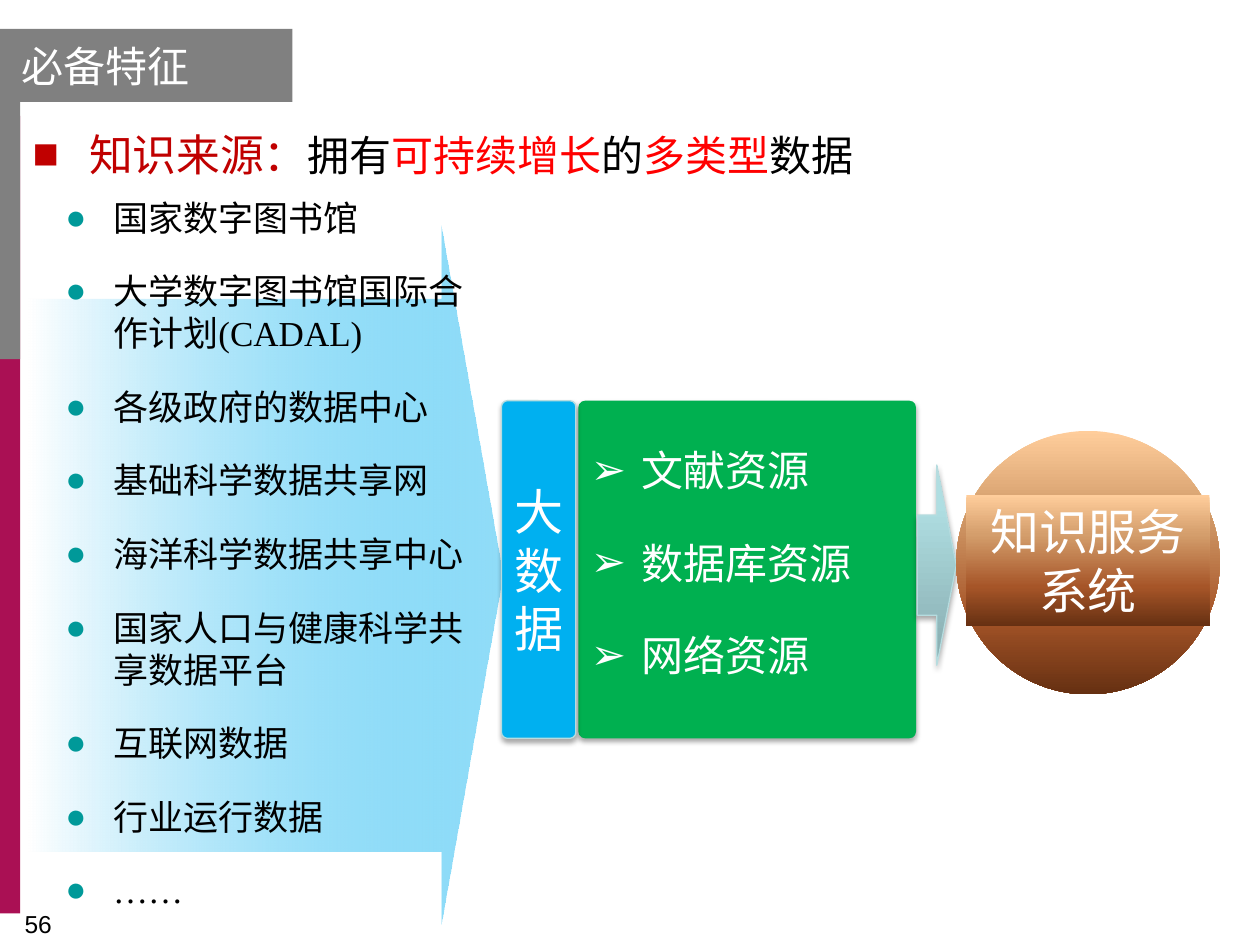
from lxml import etree
from pptx import Presentation
from pptx.dml.color import RGBColor
from pptx.enum.shapes import MSO_SHAPE
from pptx.enum.text import MSO_ANCHOR, MSO_AUTO_SIZE, PP_ALIGN
from pptx.oxml.ns import qn
from pptx.util import Inches, Pt

RECT, ROUNDED = MSO_SHAPE.RECTANGLE, MSO_SHAPE.ROUNDED_RECTANGLE
ARROW, OVAL = MSO_SHAPE.RIGHT_ARROW, MSO_SHAPE.OVAL
LEFT, CENTER, RIGHT = PP_ALIGN.LEFT, PP_ALIGN.CENTER, PP_ALIGN.RIGHT
TOP, MIDDLE, BOTTOM = MSO_ANCHOR.TOP, MSO_ANCHOR.MIDDLE, MSO_ANCHOR.BOTTOM

CJK, SANS, SERIF = "Noto Sans CJK SC", "Arial", "Times New Roman"
COLORS = {
    "white": "FFFFFF", "black": "000000", "grey": "808080", "crimson": "AA1054",
    "green": "00B050", "blue": "00B0F0", "pale": "B6DCDF", "teal": "009999",
    "dark red": "C00000", "red": "FF0000",
}
# Gradient stops: position, colour, opacity (all in percent)
SKY = [(0, "FFFFFF", 100), (100, "00B0F0", 43)]
MIST = [(0, "87ABAE", 100), (80, "AFDEE2", 100), (100, "AFE0E4", 100)]
COPPER = [(0, "FFCD9B", 100), (30, "D49E6C", 100),
          (70, "A65528", 100), (100, "663012", 100)]

SOURCES = ["国家数字图书馆", "大学数字图书馆国际合作计划(CADAL)", "各级政府的数据中心",
           "基础科学数据共享网", "海洋科学数据共享中心", "国家人口与健康科学共享数据平台",
           "互联网数据", "行业运行数据", "……"]
RESOURCES = ["文献资源", "数据库资源", "网络资源"]
HEADING = [("知识来源：", 25, "dark red"), ("拥有", 24, "black"),
           ("可持续增长", 24, "red"), ("的", 24, "black"),
           ("多类型", 24, "red"), ("数据", 24, "black")]


def rgb(name):
    return RGBColor.from_string(COLORS[name])


def add_color(parent, value, opacity):
    color = etree.SubElement(parent, qn("a:srgbClr"), val=value)
    if opacity < 100:
        etree.SubElement(color, qn("a:alpha"), val=str(opacity * 1000))


def add_block(shapes, kind, place, fill=None, line=None, adjust=(), shadow=False):
    block = shapes.add_shape(kind, *map(Inches, place))
    for index, value in enumerate(adjust):
        block.adjustments[index] = value
    if fill:
        block.fill.solid()
        block.fill.fore_color.rgb = rgb(fill)
    if line:
        block.line.color.rgb = rgb(line)
        block.line.width = Pt(0.75)
    else:
        block.line.fill.background()
    block.shadow.inherit = False
    if shadow:
        effects = block.element.spPr.find(qn("a:effectLst"))
        outer = etree.SubElement(effects, qn("a:outerShdw"), blurRad=str(Pt(3.1)),
                                 dist=str(Pt(1.8)), dir="5400000", rotWithShape="0")
        add_color(outer, COLORS["black"], 35)
    return block


def set_gradient(block, stops, clockwise):
    block.fill.gradient()
    block.fill.gradient_angle = (360 - clockwise) % 360
    stop_list = block.element.spPr.find(qn("a:gradFill")).find(qn("a:gsLst"))
    for old in list(stop_list):
        stop_list.remove(old)
    for position, value, opacity in stops:
        stop = etree.SubElement(stop_list, qn("a:gs"), pos=str(position * 1000))
        add_color(stop, value, opacity)


def set_frame(shape, anchor=TOP, wrap=True, side=0.1):
    frame = shape.text_frame
    frame.word_wrap = wrap
    frame.auto_size = MSO_AUTO_SIZE.NONE
    frame.vertical_anchor = anchor
    frame.margin_left = frame.margin_right = Inches(side)
    return frame


def add_span(para, text, size, color, font=CJK):
    span = para.add_run()
    span.text = text
    span.font.size = Pt(size)
    span.font.name = font
    span.font.color.rgb = rgb(color)
    etree.SubElement(span.font._element, qn("a:ea"), typeface=CJK)


def add_label(shape, text, size, color="white", align=CENTER, font=CJK, **frame_options):
    para = set_frame(shape, **frame_options).paragraphs[0]
    para.alignment = align
    add_span(para, text, size, color, font)


def set_bullet(para, mark, color, indent):
    props = para._p.get_or_add_pPr()
    props.set("marL", str(Inches(indent)))
    props.set("indent", str(-Inches(indent)))
    add_color(etree.SubElement(props, qn("a:buClr")), COLORS[color], 100)
    etree.SubElement(props, qn("a:buFont"), typeface=SANS)
    etree.SubElement(props, qn("a:buChar"), char=mark)


def add_list(slide, place, items, mark, mark_color, indent, gap):
    """Each item is a list of spans: text, size, colour, font."""
    frame = set_frame(slide.shapes.add_textbox(*map(Inches, place)))
    for index, spans in enumerate(items):
        para = frame.paragraphs[0] if index == 0 else frame.add_paragraph()
        set_bullet(para, mark, mark_color, indent)
        para.space_before = Pt(gap if index else 0)
        for span in spans:
            add_span(para, *span)
    return frame


def add_title(slide, text):
    title = slide.shapes.title
    title.left, title.top, title.width, title.height = map(Inches, (0, 0.23, 2.32, 0.58))
    title.fill.solid()
    title.fill.fore_color.rgb = rgb("grey")
    add_label(title, text, 24, align=LEFT, anchor=MIDDLE, wrap=False, side=0.17)


def add_service(slide):
    group = slide.shapes.add_group_shape()
    disc = add_block(group.shapes, OVAL, (7.59, 3.42, 2.09, 2.09))
    plate = add_block(group.shapes, RECT, (7.67, 3.93, 1.93, 1.04))
    for block in (disc, plate):
        set_gradient(block, COPPER, 90)
    add_label(plate, "知识服务系统", 28)


def main():
    deck = Presentation()
    deck.slide_width, deck.slide_height = Inches(10), Inches(7.5)
    page = deck.slides.add_slide(deck.slide_layouts[5])
    shapes = page.shapes

    # Side bars and title
    add_block(shapes, RECT, (0, 0.92, 0.16, 6.33), "crimson")
    add_block(shapes, RECT, (0, 0.25, 0.16, 2.6), "grey")
    add_title(page, "必备特征")

    # Data sources flowing into big data
    flow = add_block(shapes, ARROW, (0.23, 1.79, 3.76, 5.55), adjust=(0.79, 0.13))
    set_gradient(flow, SKY, 0)
    add_list(page, (0.42, 1.51, 3.37, 5.83),
             [[(text, 20, "black", SERIF)] for text in SOURCES], "●", "teal", 0.38, 18)

    # Big data and its resources
    add_block(shapes, ROUNDED, (4.59, 3.18, 2.68, 2.68), "green",
              adjust=(0.02,), shadow=True)
    add_list(page, (4.59, 3.48, 2.65, 2.2),
             [[(text, 24, "white", SANS)] for text in RESOURCES], "➢", "white", 0.4, 24)
    big_data = add_block(shapes, ROUNDED, (3.98, 3.18, 0.59, 2.68), "blue", "pale",
                         adjust=(0.08,), shadow=True)
    add_label(big_data, "大数据", 28, anchor=MIDDLE, side=0.08)

    # Step to the knowledge service
    step = add_block(shapes, ARROW, (7.28, 3.69, 0.31, 1.59), line="pale", shadow=True)
    set_gradient(step, MIST, 270)
    add_service(page)

    # Heading and page number
    heading = add_list(page, (0.16, 0.86, 8.01, 3.22), [HEADING],
                       "■", "dark red", 0.45, 0)
    heading.paragraphs[0].line_spacing = 1.25
    number = shapes.add_textbox(*map(Inches, (0, 7.19, 0.51, 0.31)))
    add_label(number, "56", 14, "black", RIGHT, SANS, anchor=BOTTOM)

    deck.save("out.pptx")


if __name__ == "__main__":
    main()
